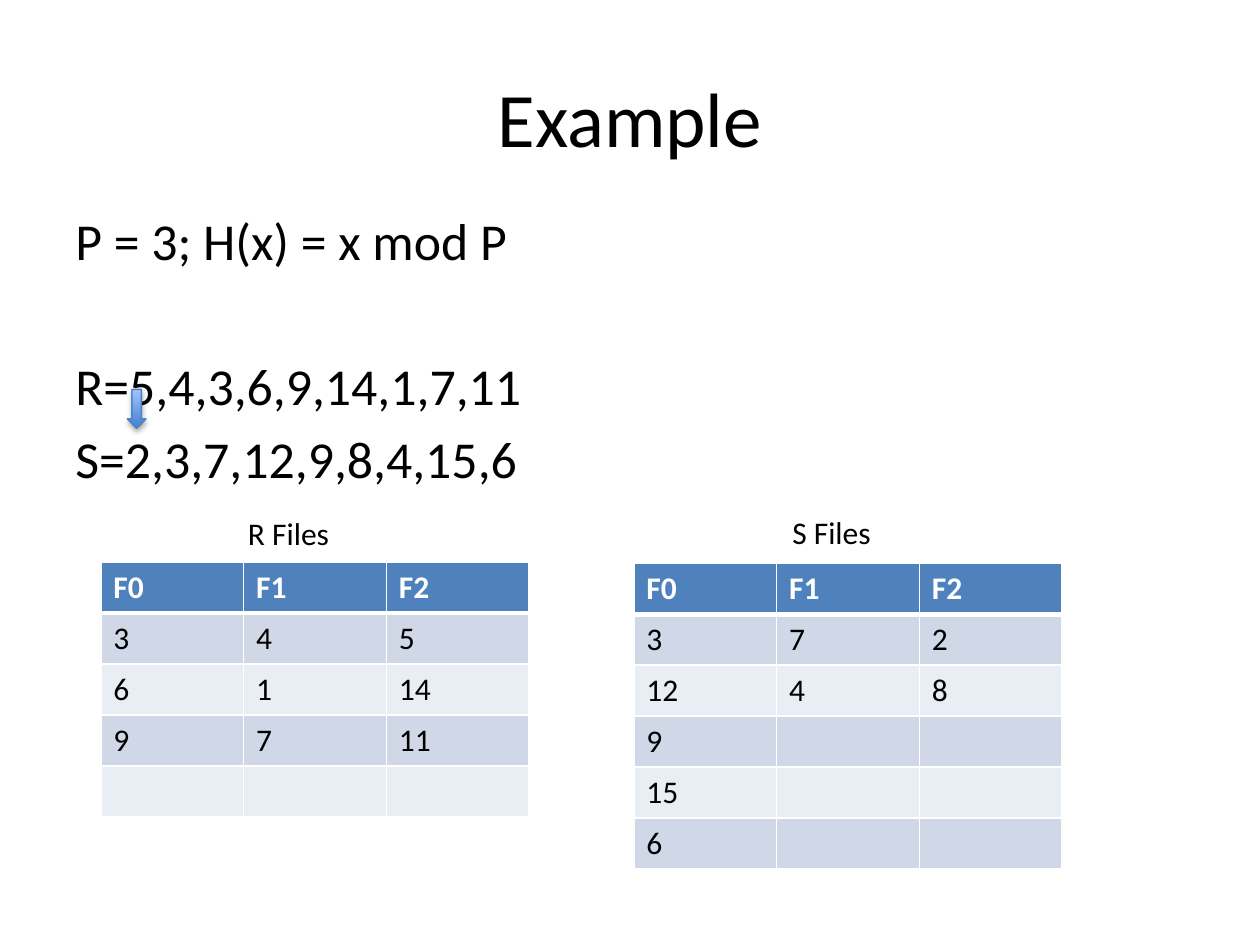
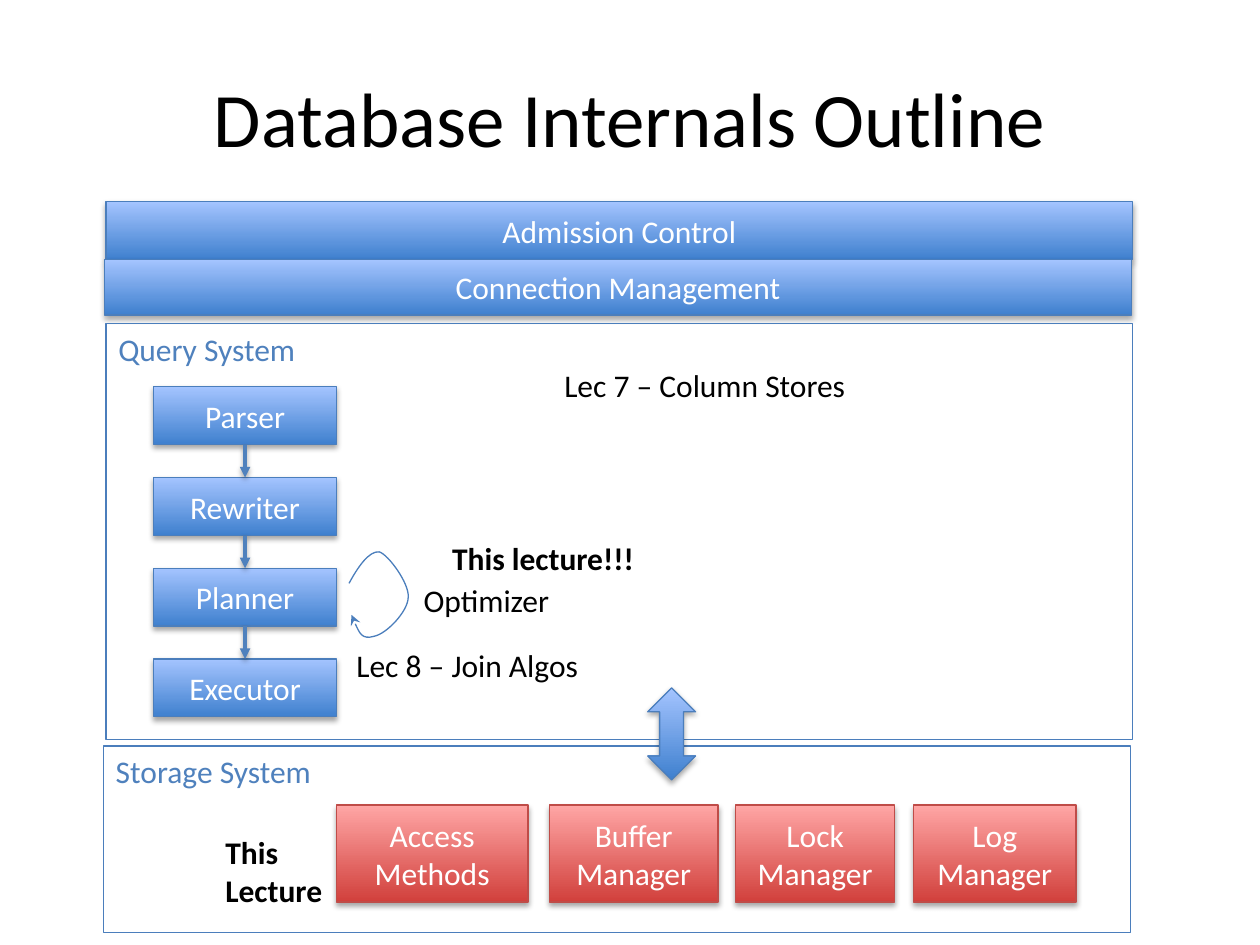
"""Build two slides: a hash join example and an outline of database internals."""
import pptx
import pptx.dml.color
import pptx.enum.shapes
import pptx.enum.text
import pptx.oxml
import pptx.oxml.ns
import pptx.util

Inches, Pt = pptx.util.Inches, pptx.util.Pt
qn = pptx.oxml.ns.qn
KIND = pptx.enum.shapes.MSO_SHAPE
LEFT, MID = pptx.enum.text.PP_ALIGN.LEFT, pptx.enum.text.PP_ALIGN.CENTER
TOP, HALF = pptx.enum.text.MSO_ANCHOR.TOP, pptx.enum.text.MSO_ANCHOR.MIDDLE

BLACK, WHITE, ACCENT = "000000", "FFFFFF", "4F81BD"
BANDS = ("E9EDF4", "D0D8E8")
BLUE = {"stops": ("3F80CE", "A4C4FF"), "edge": "4B7EBC"}
RED = {"stops": ("D1403C", "FFA6A5"), "edge": "BF4C48"}
BASE = {"name": "Calibri", "size": Pt(18), "bold": False}
NS = 'xmlns:a="http://schemas.openxmlformats.org/drawingml/2006/main"'

INTRO = [
    ("P = 3; H(x) = x mod P", 5.9),
    ("R=5,4,3,6,9,14,1,7,11", 47.3),
    ("S=2,3,7,12,9,8,4,15,6", 5.9),
]
HEADS = ("F0", "F1", "F2")
TABLES = [
    (5.03, 4.47, [(3, 7, 2), (12, 4, 8), (9, "", ""), (15, "", ""), (6, "", "")]),
    (0.8, 4.46, [(3, 4, 5), (6, 1, 14), (9, 7, 11), ("", "", "")]),
]
FILES = [
    ("R Files", (1.87, 4.03, 2.44, 0.4), {}),
    ("S Files", (6.19, 4.02, 2.44, 0.4), {}),
]
BARS = [
    ("Admission Control", (0.84, 1.6, 8.15, 0.46)),
    ("Connection Management", (0.83, 2.06, 8.15, 0.44)),
]
FRAMES = [
    ("Query System", (0.84, 2.57, 8.15, 3.3)),
    ("Storage System", (0.82, 5.92, 8.15, 1.48)),
]
STEPS = ("Parser", "Rewriter", "Planner", "Executor")
STORES = [
    ("Access Methods", 2.67, 1.52),
    ("Buffer Manager", 4.36, 1.34),
    ("Lock Manager", 5.84, 1.26),
    ("Log Manager", 7.25, 1.29),
]
LOOP = [
    (2.77, 4.63),
    (2.84, 4.5), (2.93, 4.37), (3.01, 4.38),
    (3.08, 4.4), (3.25, 4.63), (3.24, 4.74),
    (3.24, 4.85), (3.07, 5.03), (2.97, 5.05),
    (2.87, 5.08), (2.83, 4.98), (2.79, 4.88),
]
NOTES = [
    ("Optimizer", (3.22, 4.56, 1.28, 0.4), {"align": MID}),
    ("This Lecture", (1.69, 6.56, 0.98, 0.71), {"bold": True}),
    ("This lecture!!!", (3.49, 4.23, 1.93, 0.4), {"bold": True}),
    ("Lec 7 – Column Stores", (4.38, 2.86, 3.01, 0.4), {}),
    ("Lec 8 – Join Algos", (2.73, 5.08, 2.25, 0.4), {}),
]


def tint(code):
    return pptx.dml.color.RGBColor.from_string(code)


def put(item, vals):
    for key, val in vals.items():
        setattr(item, key, val)


def span(box):
    return [Inches(v) for v in box]


def write(para, text, color=BLACK, align=LEFT, **font):
    run = para.add_run()
    run.text = str(text)
    put(run.font, {**BASE, **font})
    run.font.color.rgb = tint(color)
    para.alignment = align


def shade(props, alpha, dist):
    glow = props.find(qn("a:effectLst"))
    if glow is None:
        glow = pptx.oxml.parse_xml(f"<a:effectLst {NS}/>")
        props.append(glow)
    glow.append(pptx.oxml.parse_xml(
        f'<a:outerShdw {NS} blurRad="40000" dist="{dist}" dir="5400000" rotWithShape="0">'
        f'<a:srgbClr val="{BLACK}"><a:alpha val="{alpha}"/></a:srgbClr></a:outerShdw>'))


def stroke(item, color, width, tip=None):
    item.line.color.rgb = tint(color)
    item.line.width = Pt(width)
    if tip:
        edge = item._element.spPr.find(qn("a:ln"))
        edge.append(pptx.oxml.parse_xml(f'<a:tailEnd {NS} type="{tip}"/>'))


def block(slide, kind, box, look, text=""):
    item = slide.shapes.add_shape(kind, *span(box))
    item.shadow.inherit = False
    item.fill.gradient()
    item.fill.gradient_angle = 90
    for stop, code in zip(item.fill.gradient_stops, look["stops"]):
        stop.color.rgb = tint(code)
    stroke(item, look["edge"], 0.75)
    shade(item._element.spPr, 35000, 23000)
    if text:
        put(item.text_frame, {"word_wrap": True, "vertical_anchor": HALF})
        write(item.text_frame.paragraphs[0], text, WHITE, MID)
    return item


def frame(slide, text, box):
    item = slide.shapes.add_shape(KIND.RECTANGLE, *span(box))
    item.shadow.inherit = False
    item.fill.background()
    stroke(item, BLUE["edge"], 0.75)
    put(item.text_frame, {"word_wrap": True, "vertical_anchor": TOP})
    write(item.text_frame.paragraphs[0], text, ACCENT)


def label(slide, text, box, style):
    body = slide.shapes.add_textbox(*span(box)).text_frame
    body.word_wrap = True
    write(body.paragraphs[0], text, **style)


def start(deck, text):
    slide = deck.slides.add_slide(deck.slide_layouts[5])
    title = slide.shapes.title
    put(title, dict(zip(("left", "top", "width", "height"), span((0.5, 0.3, 9, 1.25)))))
    title.text_frame.vertical_anchor = HALF
    write(title.text_frame.paragraphs[0], text, align=MID, size=Pt(44))
    return slide


def rule(cell, head):
    props = cell._tc.get_or_add_tcPr()
    for spot, side in enumerate("LRTB"):
        wide = Pt(3 if head and side == "B" else 1)
        props.insert(spot, pptx.oxml.parse_xml(
            f'<a:ln{side} {NS} w="{wide}"><a:solidFill><a:srgbClr val="{WHITE}"/>'
            f'</a:solidFill></a:ln{side}>'))


def grid(slide, left, top, data):
    rows = [HEADS, *data]
    size = span((left, top, 3.4, 0.405 * len(rows)))
    table = slide.shapes.add_table(len(rows), len(HEADS), *size).table
    for r, row in enumerate(rows):
        for c, text in enumerate(row):
            cell, head = table.cell(r, c), r == 0
            cell.fill.solid()
            cell.fill.fore_color.rgb = tint(ACCENT if head else BANDS[r % 2])
            rule(cell, head)
            if text != "":
                write(cell.text_frame.paragraphs[0], text, WHITE if head else BLACK, bold=head)


def join(slide, above, below):
    line = slide.shapes.add_connector(pptx.enum.shapes.MSO_CONNECTOR.STRAIGHT, 0, 0, 0, 0)
    line.begin_connect(above, 2)
    line.end_connect(below, 0)
    stroke(line, ACCENT, 2, "triangle")
    shade(line._element.spPr, 38000, 20000)


def curve(slide, spots):
    first, *rest = [span(spot) for spot in spots]
    pen = slide.shapes.build_freeform(*first)
    pen.add_line_segments(rest, close=False)
    item = pen.convert_to_shape()
    item.shadow.inherit = False
    item.fill.background()
    stroke(item, BLUE["edge"], 0.75, "stealth")
    legs = list(item._element.iter(qn("a:lnTo")))
    for n in range(0, len(legs), 3):
        bend = pptx.oxml.parse_xml(f"<a:cubicBezTo {NS}/>")
        legs[n].addprevious(bend)
        for leg in legs[n:n + 3]:
            bend.append(leg[0])
            leg.getparent().remove(leg)


def sample(deck):
    slide = start(deck, "Example")
    body = slide.shapes.add_textbox(*span((0.5, 1.61, 9, 2.21))).text_frame
    body.word_wrap = True
    for n, (text, gap) in enumerate(INTRO):
        para = body.add_paragraph() if n else body.paragraphs[0]
        para.space_before = Pt(gap)
        write(para, text, size=Pt(29.6))
    for left, top, data in TABLES:
        grid(slide, left, top, data)
    for item in FILES:
        label(slide, *item)
    block(slide, KIND.DOWN_ARROW, (1.01, 3.09, 0.15, 0.31), BLUE)


def outline(deck):
    slide = start(deck, "Database Internals Outline")
    for text, box in BARS:
        block(slide, KIND.RECTANGLE, box, BLUE, text)
    for text, box in FRAMES:
        frame(slide, text, box)
    steps = [block(slide, KIND.RECTANGLE, (1.22, 3.07 + 0.72 * n, 1.45, 0.46), BLUE, text)
             for n, text in enumerate(STEPS)]
    for above, below in zip(steps, steps[1:]):
        join(slide, above, below)
    curve(slide, LOOP)
    for text, left, width in STORES:
        block(slide, KIND.RECTANGLE, (left, 6.39, width, 0.77), RED, text)
    block(slide, KIND.UP_DOWN_ARROW, (5.14, 5.46, 0.38, 0.73), BLUE)
    for item in NOTES:
        label(slide, *item)


def main():
    deck = pptx.Presentation()
    put(deck, {"slide_width": Inches(10), "slide_height": Inches(7.5)})
    sample(deck)
    outline(deck)
    deck.save("out.pptx")


if __name__ == "__main__":
    main()
